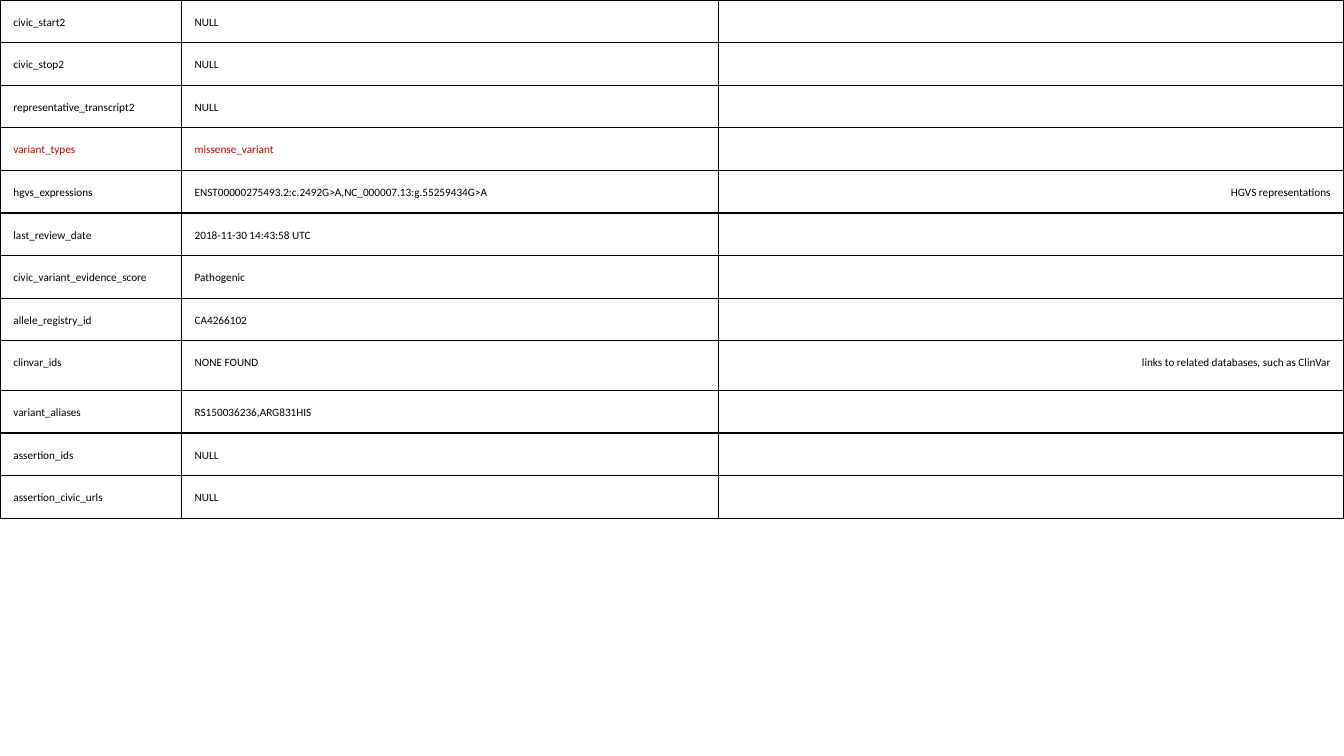
from dataclasses import dataclass

from lxml.etree import SubElement
from pptx import Presentation
from pptx.dml.color import RGBColor
from pptx.enum.text import PP_ALIGN
from pptx.oxml.ns import qn
from pptx.util import Inches, Pt


@dataclass(frozen=True)
class Theme:
    font: str = "Calibri"
    size: float = 6
    line_spacing: float = 1.15
    ink: str = "000000"
    highlight: str = "C00000"
    border: str = "000000"
    border_width: float = 0.75
    cell_inset: float = 0.1


THEME = Theme()
SLIDE_WIDTH = 10
COLUMN_WIDTHS = [1.35, 4, 4.66]
ROW_HEIGHT = 0.29
ROW_HEIGHT_OVERRIDES = {"variant_types": 0.3, "clinvar_ids": 0.37}
HIGHLIGHTED_FIELDS = {"variant_types"}

# Field, value, note
VARIANT_FIELDS = [
    ("civic_start2", "NULL", ""),
    ("civic_stop2", "NULL", ""),
    ("representative_transcript2", "NULL", ""),
    ("variant_types", "missense_variant", ""),
    ("hgvs_expressions",
     "ENST00000275493.2:c.2492G>A,NC_000007.13:g.55259434G>A",
     "HGVS representations"),
    ("last_review_date", "2018-11-30 14:43:58 UTC", ""),
    ("civic_variant_evidence_score", "Pathogenic", ""),
    ("allele_registry_id", "CA4266102", ""),
    ("clinvar_ids", "NONE FOUND", "links to related databases, such as ClinVar"),
    ("variant_aliases", "RS150036236,ARG831HIS", ""),
    ("assertion_ids", "NULL", ""),
    ("assertion_civic_urls", "NULL", ""),
]


def write_text(frame, text, *, color=THEME.ink, size=THEME.size, align=PP_ALIGN.LEFT):
    paragraph = frame.paragraphs[0]
    paragraph.alignment = align
    paragraph.line_spacing = THEME.line_spacing
    if not text:
        # An empty cell needs its own type size, or it stretches the row
        SubElement(paragraph._p, qn("a:endParaRPr"), sz=str(int(size * 100)))
        return
    run = paragraph.add_run()
    run.text = text
    run.font.name = THEME.font
    run.font.size = Pt(size)
    run.font.color.rgb = RGBColor.from_string(color)


def style_cell(cell):
    inset = Inches(THEME.cell_inset)
    cell.margin_left = cell.margin_right = inset
    cell.margin_top = cell.margin_bottom = inset
    properties = cell._tc.get_or_add_tcPr()
    for side in ("lnL", "lnR", "lnT", "lnB"):
        line = SubElement(properties, qn(f"a:{side}"), w=str(Pt(THEME.border_width)))
        fill = SubElement(line, qn("a:solidFill"))
        SubElement(fill, qn("a:srgbClr"), val=THEME.border)
    cell.fill.background()


def add_variant_table(slide, left, top, width, fields):
    heights = [ROW_HEIGHT_OVERRIDES.get(field, ROW_HEIGHT) for field, _, _ in fields]
    table = slide.shapes.add_table(
        len(fields), len(COLUMN_WIDTHS),
        Inches(left), Inches(top), Inches(width), Inches(sum(heights)),
    ).table
    table.first_row = False
    table.horz_banding = False

    # Columns share the given width in fixed proportions
    scale = width / sum(COLUMN_WIDTHS)
    for column, column_width in zip(table.columns, COLUMN_WIDTHS):
        column.width = Inches(column_width * scale)

    # One row per field, with the note aligned right
    alignments = (PP_ALIGN.LEFT, PP_ALIGN.LEFT, PP_ALIGN.RIGHT)
    for row, height, texts in zip(table.rows, heights, fields):
        row.height = Inches(height)
        color = THEME.highlight if texts[0] in HIGHLIGHTED_FIELDS else THEME.ink
        for cell, text, align in zip(row.cells, texts, alignments):
            style_cell(cell)
            write_text(cell.text_frame, text, color=color, align=align)


def main():
    presentation = Presentation()
    # Widescreen, 16:9
    presentation.slide_width = Inches(SLIDE_WIDTH)
    presentation.slide_height = Inches(SLIDE_WIDTH * 9 / 16)
    slide = presentation.slides.add_slide(presentation.slide_layouts[6])
    add_variant_table(slide, 0, 0, SLIDE_WIDTH, VARIANT_FIELDS)
    presentation.save("out.pptx")


if __name__ == "__main__":
    main()
